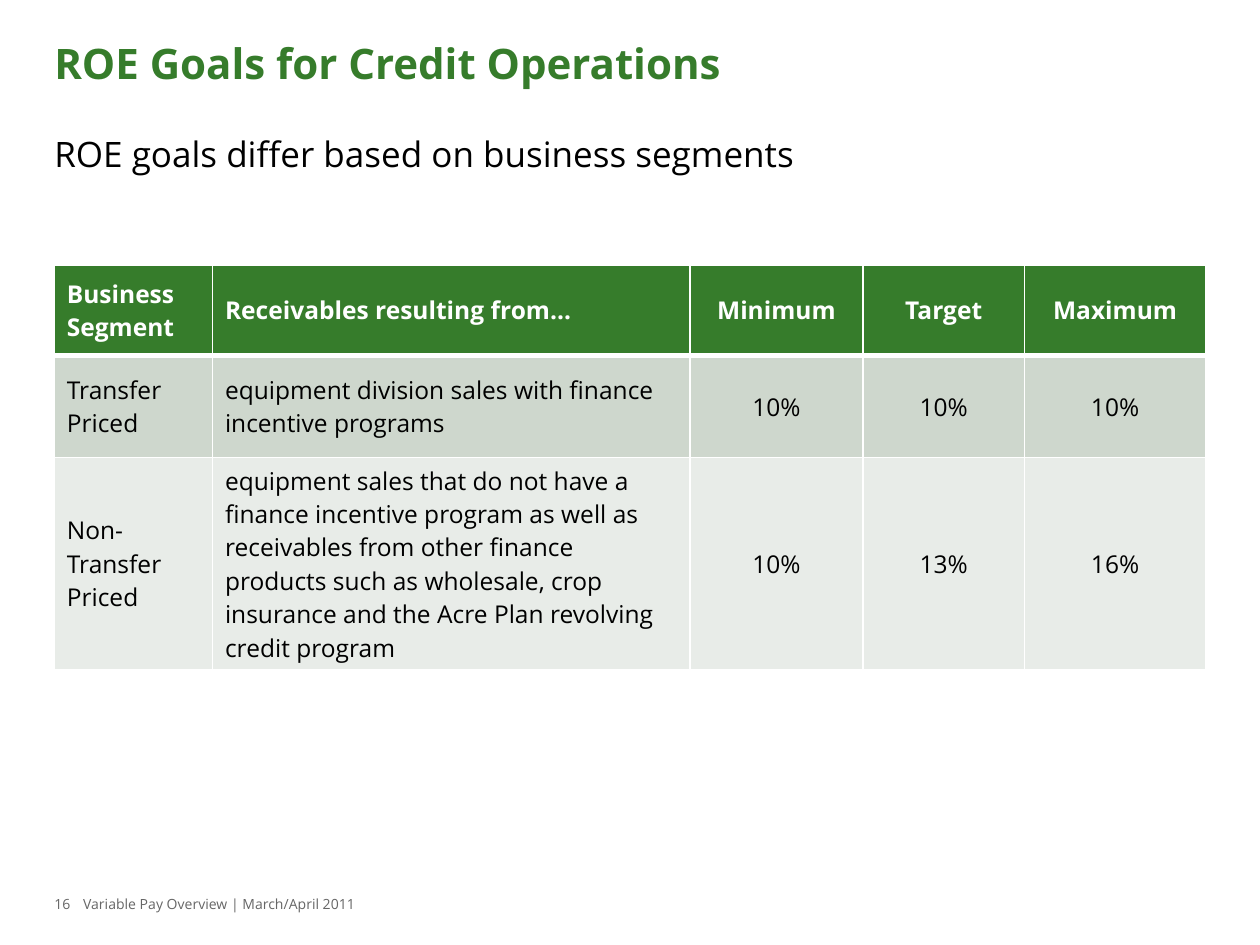
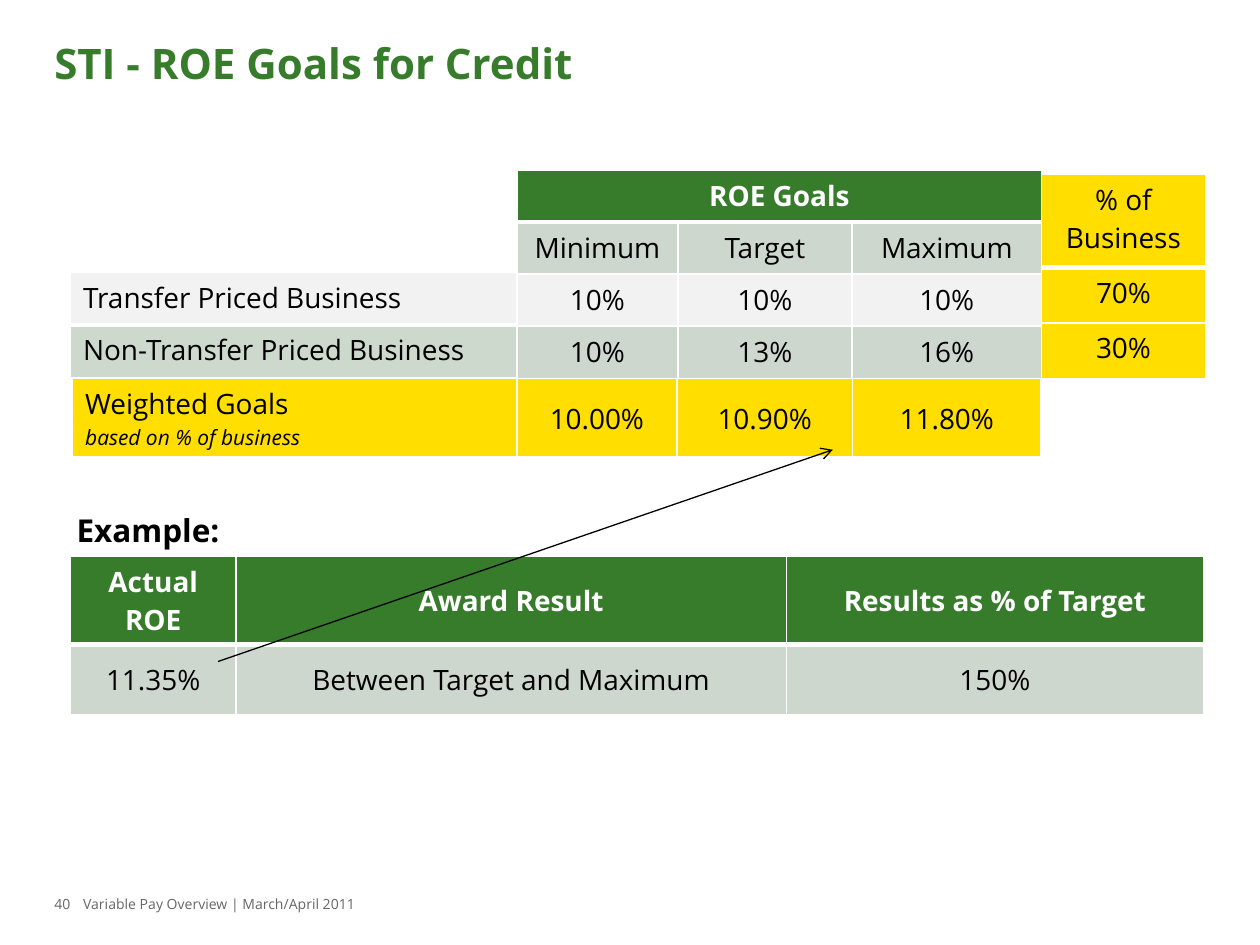
"""Build two slides on return-on-equity goals for credit operations."""
from lxml.etree import SubElement
from pptx import Presentation
from pptx.dml.color import RGBColor as RGB
from pptx.enum.shapes import MSO_CONNECTOR as CONN
from pptx.enum.text import MSO_ANCHOR as ANCHOR, PP_ALIGN as ALIGN
from pptx.oxml.ns import qn
from pptx.util import Pt

FONT = "Open Sans"
COLORS = {
    "green": "367C2B", "sage": "CED7CD", "mint": "CED9CD", "pale": "E8ECE8",
    "light": "F2F2F2", "yellow": "FFDE00", "white": "FFFFFF",
    "black": "000000", "gray": "666666",
}
FOOTER = "Variable Pay Overview | March/April 2011"
LEFT, WIDTH = 31, 658
THIN, THICK = 1, 3
ALIGNS = {"l": ALIGN.LEFT, "c": ALIGN.CENTER}

SEGMENTS = {
    "at": (LEFT, 151.4), "size": 14, "align": "llccc", "anchor": ANCHOR.MIDDLE,
    "cols": (90.4, 272.9, 98.8, 92.4, 103.5),
    "rows": [
        (51.8, "green", THICK, ["Business Segment", "Receivables resulting from…",
                                "Minimum", "Target", "Maximum"]),
        (58.3, "sage", THIN, ["Transfer Priced",
                              "equipment division sales with finance incentive programs",
                              "10%", "10%", "10%"]),
        (121, "pale", THIN, ["Non-Transfer Priced",
                             "equipment sales that do not have a finance incentive "
                             "program as well as receivables from other finance "
                             "products such as wholesale, crop insurance and the "
                             "Acre Plan revolving credit program",
                             "10%", "13%", "16%"]),
    ],
}
GOALS = {
    "at": (295.4, 97.2), "align": "ccc", "cols": (92, 99.4, 108.5),
    "rows": [
        (29.6, "green", THICK, ["ROE Goals"]),
        (29.8, "sage", THIN, ["Minimum", "Target", "Maximum"]),
        (29.8, "light", THIN, ["10%", "10%", "10%"]),
        (29.8, "sage", THIN, ["10%", "13%", "16%"]),
    ],
}
NON_TRANSFER = {
    "at": (40.3, 185.6), "align": "l", "cols": (254.9,),
    "rows": [(31, "mint", THICK, ["Non-Transfer Priced Business"])],
}
WEIGHTED = {
    "at": (41.5, 216.4), "align": "lccc", "anchor": ANCHOR.MIDDLE,
    "cols": (253.9, 91.4, 100.4, 107.8),
    "rows": [(45.4, "yellow", THICK, ["Weighted Goals\nbased on % of business",
                                      "10.00%", "10.90%", "11.80%"])],
}
BUSINESS = {
    "at": (595.2, 99.4), "align": "c", "cols": (93.6,),
    "rows": [
        (53.3, "yellow", THICK, ["% of Business"]),
        (31.8, "yellow", THIN, ["70%"]),
        (31.8, "yellow", THIN, ["30%"]),
    ],
}
EXAMPLE = {
    "at": (40.3, 317.8), "align": "ccc", "anchor": ANCHOR.MIDDLE,
    "cols": (94.5, 314.6, 238.3),
    "rows": [
        (50.6, "green", THICK, ["Actual\nROE", "Award Result", "Results as % of Target"]),
        (40.3, "sage", THIN, ["11.35%", "Between Target and Maximum", "150%"]),
    ],
}
TRANSFER = {
    "at": (40.3, 155.5), "align": "l", "cols": (254.9,),
    "rows": [(30.2, "light", THICK, ["Transfer Priced Business"])],
}
SLIDES = [
    ("ROE Goals for Credit Operations", 16, [SEGMENTS]),
    ("STI - ROE Goals for Credit", 40,
     [GOALS, NON_TRANSFER, WEIGHTED, BUSINESS, EXAMPLE, TRANSFER]),
]


def rgb(name):
    return RGB.from_string(COLORS[name])


def style(p, size, color="black", bold=False):
    for r in p.runs:
        f = r.font
        f.name, f.size, f.bold = FONT, Pt(size), bold
        f.color.rgb = rgb(color)


def add_text(s, box, text, size, color="black", bold=False, inset=0):
    sp = s.shapes.add_textbox(*map(Pt, box))
    tf = sp.text_frame
    tf.word_wrap = True
    tf.margin_left = Pt(inset)
    tf.margin_right = Pt(inset)
    tf.text = text
    p = tf.paragraphs[0]
    style(p, size, color, bold)
    return p


def add_borders(cell, top, bottom):
    tcPr = cell._tc.get_or_add_tcPr()
    edges = {"a:lnL": THIN, "a:lnR": THIN, "a:lnT": top, "a:lnB": bottom}
    for i, (tag, width) in enumerate(edges.items()):
        ln = SubElement(tcPr, qn(tag), w=str(Pt(width)))
        fill = SubElement(ln, qn("a:solidFill"))
        SubElement(fill, qn("a:srgbClr"), val=COLORS["white"])
        tcPr.insert(i, ln)


def add_table(s, spec):
    cols, rows = spec["cols"], spec["rows"]
    size = sum(cols), sum(row[0] for row in rows)
    shape = s.shapes.add_table(len(rows), len(cols), *map(Pt, spec["at"] + size))
    table = shape.table
    for col, width in zip(table.columns, cols):
        col.width = Pt(width)
    top = THIN
    for i, (height, fill, bottom, texts) in enumerate(rows):
        table.rows[i].height = Pt(height)
        for j in range(len(cols)):
            cell = table.cell(i, j)
            cell.fill.solid()
            cell.fill.fore_color.rgb = rgb(fill)
            cell.vertical_anchor = spec.get("anchor", ANCHOR.TOP)
            add_borders(cell, top, bottom)
        if len(texts) < len(cols):
            table.cell(i, 0).merge(table.cell(i, len(cols) - 1))
        head = fill == "green"
        for j, text in enumerate(texts):
            tf = table.cell(i, j).text_frame
            tf.text = text
            for p in tf.paragraphs:
                p.alignment = ALIGNS[spec["align"][j]]
                style(p, spec.get("size", 16), "white" if head else "black", head)
        top = bottom
    return table


def add_arrow(s, start, end):
    line = s.shapes.add_connector(CONN.STRAIGHT, *map(Pt, start + end))
    line.line.color.rgb = rgb("black")
    line.line.width = Pt(0.75)
    spPr = line._element.spPr
    SubElement(spPr.find(qn("a:ln")), qn("a:tailEnd"), type="arrow")
    SubElement(spPr, qn("a:effectLst"))


prs = Presentation()
prs.slide_width, prs.slide_height = Pt(720), Pt(540)
tables = []
for title, number, specs in SLIDES:
    s = prs.slides.add_slide(prs.slide_layouts[6])
    add_text(s, (LEFT, 21.2, WIDTH, 51), title, 24, "green", True).line_spacing = 0.9
    add_text(s, (47.5, 508.3, 428.4, 18), FOOTER, 8, "gray")
    add_text(s, (LEFT, 508.3, 18, 18), str(number), 8, "gray")
    tables.append([add_table(s, spec) for spec in specs])

goals, credit = prs.slides
add_text(goals, (LEFT, 72, WIDTH, 396), "ROE goals differ based on business segments", 20)

weighted = tables[1][2]
note = weighted.cell(0, 0).text_frame.paragraphs[1].runs[0].font
note.size, note.italic = Pt(12), True
add_text(credit, (36.7, 288.7, 247.7, 28.8), "Example:", 18, bold=True, inset=7.2)
add_arrow(credit, (124.6, 378), (475.9, 257))

prs.save("out.pptx")
